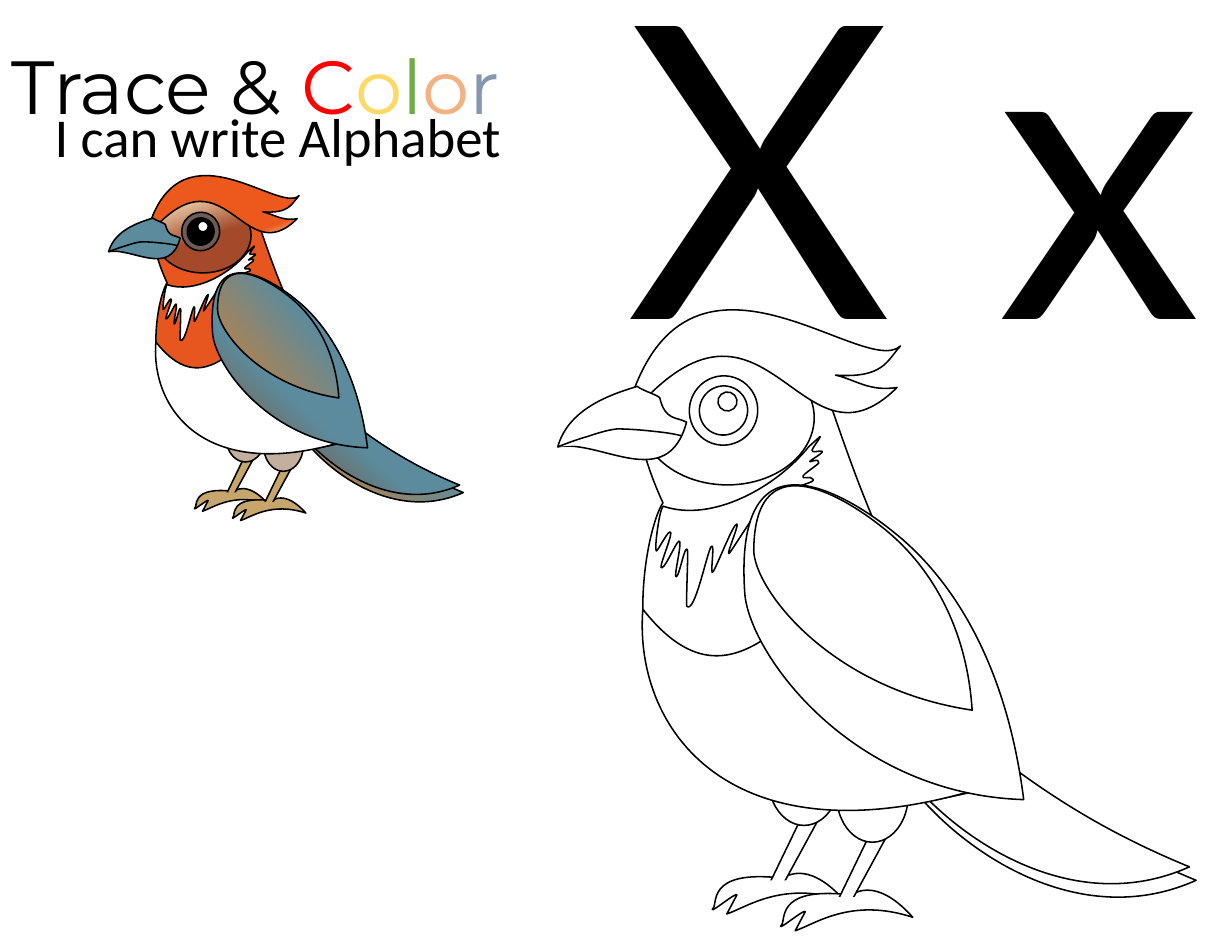
import math

import pptx
import pptx.dml.color
import pptx.enum.shapes
import pptx.oxml
import pptx.oxml.ns
import pptx.util

THEME = {
    "black": "000000", "white": "FFFFFF", "red": "FF0000", "yellow": "FFD966",
    "green": "70AD47", "peach": "F4B183", "steel": "8497B0",
    "plumage": "E85620", "bill": "5C8B9D", "foot": "C6A66B", "thigh": "C4AE9D", "eye ring": "6D5C53",
    # Gradients: first colour, second colour, where the second is reached, clockwise angle
    "under tail": ("DF7C27", "5C8B9D", 0.56, 310), "upper tail": ("7E4C26", "5C8B9D", 0.38, 310),
    "face": ("FFF2CC", "A4492A", 0.54, 110), "crest": ("FFF2CC", "ED591D", 0.19, 250),
    "wing": ("885126", "5C8B9D", 0.39, 310), "inner wing": ("DF7C27", "5C8B9D", 0.66, 310),
    "title size": 48.4, "letter size": 262.9, "subtitle size": 35.2, "line": 1,
}

# Text boxes: left, top, width, height, font, size, coloured spans
TEXTS = [
    (0, 0.3, 5.51, 0.92, "Montserrat", "title size",
     [("Trace & ", "black"), ("C", "red"), ("o", "yellow"), ("l", "green"), ("o", "peach"), ("r", "steel")]),
    (5.5, -0.85, 6.57, 4.53, "Lato", "letter size", [("X x", "black")]),
    (0.39, 0.87, 4.33, 0.69, "Calibri", "subtitle size", [("I can write Alphabet", "black")]),
]

# Outlines at full size: a start point, then (x, y) lines and six-number Bézier curves
TAIL = [(8.35, 6.36), (8.01, 6.11, 7.7, 4.95, 7.88, 6.53), (7.95, 7.06, 9.32, 8.47, 10.68, 7.86),
        (9.83, 7.51, 9.18, 7.09, 8.35, 6.36)]
FOOT = [(6.98, 7.84), (6.28, 7.76, 6.42, 8.09, 6.36, 8.12), (6.35, 8.15, 6.58, 7.96, 6.58, 7.99),
        (6.49, 8.16), (6.67, 8.1, 6.99, 7.86, 7.54, 8.04), (7.19, 7.65, 7, 7.85, 6.98, 7.84)]
LEG = [(7.36, 7.22), (7.18, 7.25), (6.88, 7.87), (6.99, 7.9), (7.36, 7.22)]
ANKLE = [(7.11, 7.92), (7.03, 7.86), (6.8, 7.86), (6.84, 7.91), (7.11, 7.92)]
HEAD = [(7.28, 3.26), (7.51, 2.7, 4.93, 2.34, 5.92, 4.49), (5.7, 4.8, 5.06, 8.03, 8.89, 7.02),
        (9.23, 7.05, 8.09, 5.32, 7.82, 4.69), (7.55, 4.06, 7.41, 3.55, 7.28, 3.26)]
COLLAR = [
    (7.22, 3.99), (6.93, 4.35, 6.36, 4.67, 5.92, 4.52), (5.89, 4.54, 5.84, 4.9, 5.86, 4.92),
    (5.87, 4.93, 5.98, 4.7, 5.99, 4.76), (5.99, 4.82, 5.87, 5.09, 5.91, 5.07),
    (5.95, 5.06, 6.06, 4.78, 6.07, 4.84), (6.08, 4.9, 6.01, 5.17, 6.04, 5.15),
    (6.07, 5.13, 6.12, 4.83, 6.14, 4.92), (6.14, 5.09, 6.13, 5.25, 6.13, 5.41),
    (6.2, 5.5, 6.31, 4.94, 6.35, 4.88), (6.39, 4.83, 6.33, 5.18, 6.37, 5.1),
    (6.42, 5.01, 6.55, 4.67, 6.58, 4.68), (6.6, 4.69, 6.46, 5.01, 6.52, 4.93), (6.79, 4.52),
    (6.98, 4.45, 6.66, 4.69, 6.72, 4.7), (7, 4.78, 7.3, 4.43, 7.27, 4.39),
    (7.23, 4.36, 7.1, 4.41, 7.12, 4.37), (7.14, 4.32, 7.28, 4.31, 7.26, 4.28),
    (7.24, 4.24, 7.15, 4.29, 7.17, 4.25), (7.19, 4.22, 7.32, 4.14, 7.31, 4.13),
    (7.32, 4.08, 7.21, 4.14, 7.23, 4.12), (7.25, 4.1, 7.36, 4.04, 7.34, 4.03),
    (7.33, 4.02, 7.24, 4.05, 7.25, 4.02), (7.26, 3.99, 7.34, 3.89, 7.32, 3.9), (7.22, 3.99)]
BELLY = [(7.94, 4.92), (7.2, 5.08, 6.62, 6.56, 5.74, 5.44), (5.65, 6.56, 6.59, 7.79, 8.97, 6.97), (7.94, 4.92)]
CREST = [(7.46, 3.35), (7.89, 3.38, 7.92, 3.22, 8.04, 3.09), (7.7, 3.4, 6.05, 1.79, 5.57, 3.78),
         (6.84, 2.2, 7.12, 4.35, 8.01, 3.46), (7.76, 3.5, 7.64, 3.39, 7.46, 3.35)]
WING = [(7.99, 4.76), (7.66, 4.49, 6.54, 3.71, 6.65, 5.3), (6.69, 5.83, 7.59, 7.09, 9.14, 7.14),
        (8.96, 5.71, 8.34, 5.04, 7.99, 4.76)]
INNER_WING = [(7.88, 4.71), (7.62, 4.5, 6.74, 3.89, 6.73, 4.91), (6.73, 5.25, 7.4, 6.15, 8.68, 6.34),
              (8.62, 5.42, 8.15, 4.92, 7.88, 4.71)]
BILL = [(5.89, 3.55), (5.83, 3.51, 5.74, 3.49, 5.69, 3.45), (5.5, 3.51, 5.08, 3.63, 4.98, 3.99),
        (5.36, 3.92, 5.96, 4.41, 6.13, 3.77), (6.04, 3.72, 5.94, 3.76, 5.89, 3.55)]
BILL_SPLIT = [(6.08, 3.89), (6, 3.87, 5.92, 3.86, 5.82, 3.85), (5.73, 3.84, 5.61, 3.83, 5.51, 3.83),
              (5.42, 3.84, 5.33, 3.87, 5.24, 3.9), (5.16, 3.92, 4.98, 3.99, 4.98, 3.99)]
THIGH = (6.86, 6.53, 0.64, 0.84)  # ovals: left, top, width, height

# Bird from back to front: outline or oval, fill, then options
NEAR_LEG = (0.61, 0.15)
LEG_PARTS = [(FOOT, "foot", {}), (LEG, "foot", {}), (ANKLE, "foot", {"turn": 38.9, "pivot": (6.95, 7.9), "edge": False})]
BIRD = [
    (TAIL, "under tail", {}),
    (TAIL, "upper tail", {"shift": (-0.06, -0.12)}),
    *LEG_PARTS,
    *[(outline, fill, {**options, "shift": NEAR_LEG}) for outline, fill, options in LEG_PARTS],
    (THIGH, "thigh", {}),
    (THIGH, "thigh", {"shift": NEAR_LEG}),
    (HEAD, "plumage", {}),
    (COLLAR, "white", {}),
    (BELLY, "white", {}),
    ((5.72, 3.13, 1.55, 1.2), "face", {}),
    ((6.15, 3.36, 0.62, 0.61), "eye ring", {"turn": 288.7}),
    ((6.24, 3.45, 0.44, 0.43), "black", {"turn": 288.7}),
    ((6.41, 3.5, 0.17, 0.17), "white", {"turn": 288.7}),
    (CREST, "crest", {}),
    (WING, "wing", {"turn": 3, "pivot": (7.91, 5.72)}),
    (INNER_WING, "inner wing", {"turn": 9.4, "pivot": (7.75, 5.31)}),
    (BILL, "bill", {}),
    (BILL_SPLIT, None, {}),
]
ORIGIN = (4.98, 2.77)
# Placed birds: left, top, scale, coloured or left white for colouring in
BIRDS = [(0.97, 1.57, 1 / 1.8, True), (*ORIGIN, 1, False)]


def rgb(value):
    return pptx.dml.color.RGBColor.from_string(value)


def paint(shape, fill, edge):
    shape.shadow.inherit = False
    if fill is None:
        shape.fill.background()
    elif isinstance(THEME[fill], tuple):
        first, second, reach, angle = THEME[fill]
        shape.fill.gradient()
        shape.fill.gradient_angle = 360 - angle
        for stop, color, position in zip(shape.fill.gradient_stops, (first, second), (0, reach)):
            stop.color.rgb = rgb(color)
            stop.position = position
    else:
        shape.fill.solid()
        shape.fill.fore_color.rgb = rgb(THEME[fill])
    if edge:
        shape.line.color.rgb = rgb(THEME["black"])
        shape.line.width = pptx.util.Pt(THEME["line"])
    else:
        shape.line.fill.background()


def curve_points(start, controls, steps=24):
    corners = [start, *controls]
    for step in range(1, steps + 1):
        t = step / steps
        weights = ((1 - t) ** 3, 3 * t * (1 - t) ** 2, 3 * t * t * (1 - t), t ** 3)
        yield tuple(sum(w * corner[axis] for w, corner in zip(weights, corners)) for axis in (0, 1))


def add_outline(group, segments):
    """Build the extents from points on the curves, then write the curves themselves."""
    start, vertices = segments[0][0], []
    for segment in segments[1:]:
        vertices += curve_points(vertices[-1] if vertices else start, segment) if len(segment) == 3 else segment
    closed = segments[-1][-1] == start
    builder = group.shapes.build_freeform(*start, scale=1.0)
    builder.add_line_segments(vertices, close=closed)
    shape = builder.convert_to_shape()
    left, top = (min(point[axis] for point in [start, *vertices]) for axis in (0, 1))
    qn, sub = pptx.oxml.ns.qn, pptx.oxml.xmlchemy.OxmlElement
    path = shape.element.find(".//" + qn("a:path"))
    for child in list(path):
        path.remove(child)
    for index, segment in enumerate(segments):
        command = sub("a:moveTo" if index == 0 else "a:cubicBezTo" if len(segment) == 3 else "a:lnTo")
        for x, y in segment:
            point = sub("a:pt")
            point.set("x", str(round(x - left)))
            point.set("y", str(round(y - top)))
            command.append(point)
        path.append(command)
    if closed:
        path.append(sub("a:close"))
    return shape


def add_bird(page, left, top, scale, coloured):
    group = page.shapes.add_group_shape()
    for outline, fill, options in BIRD:
        shift, turn = options.get("shift", (0, 0)), options.get("turn", 0)

        def place(x, y):
            return (pptx.util.Inches(left + (x + shift[0] - ORIGIN[0]) * scale),
                    pptx.util.Inches(top + (y + shift[1] - ORIGIN[1]) * scale))

        if isinstance(outline, tuple):
            x, y, width, height = outline
            shape = group.shapes.add_shape(
                pptx.enum.shapes.MSO_SHAPE.OVAL, *place(x, y),
                pptx.util.Inches(width * scale), pptx.util.Inches(height * scale))
            shape.element.spPr.find(pptx.oxml.ns.qn("a:xfrm")).set("flipH", "1")
        else:
            # Points are turned back about the pivot, so the shape's rotation restores them
            pivot = options.get("pivot", (0, 0))
            cos, sin = math.cos(math.radians(turn)), math.sin(math.radians(turn))

            def unturn(x, y):
                dx, dy = x - pivot[0], y - pivot[1]
                return place(pivot[0] + dx * cos + dy * sin, pivot[1] - dx * sin + dy * cos)

            shape = add_outline(group, [[unturn(*segment[i:i + 2]) for i in range(0, len(segment), 2)]
                                        for segment in outline])
        shape.rotation = turn
        paint(shape, fill if coloured else "white", options.get("edge", True))


def add_text(page, left, top, width, height, font, size, spans):
    box = page.shapes.add_textbox(*map(pptx.util.Inches, (left, top, width, height)))
    box.text_frame.word_wrap = True
    para = box.text_frame.paragraphs[0]
    for words, color in spans:
        span = para.add_run()
        span.text = words
        span.font.name = font
        span.font.size = pptx.util.Pt(THEME[size])
        span.font.color.rgb = rgb(THEME[color])


def main():
    deck = pptx.Presentation()
    deck.slide_width, deck.slide_height = pptx.util.Inches(11), pptx.util.Inches(8.5)
    page = deck.slides.add_slide(deck.slide_layouts[6])
    for text in TEXTS:
        add_text(page, *text)
    for bird in BIRDS:
        add_bird(page, *bird)
    deck.save("out.pptx")


if __name__ == "__main__":
    main()
